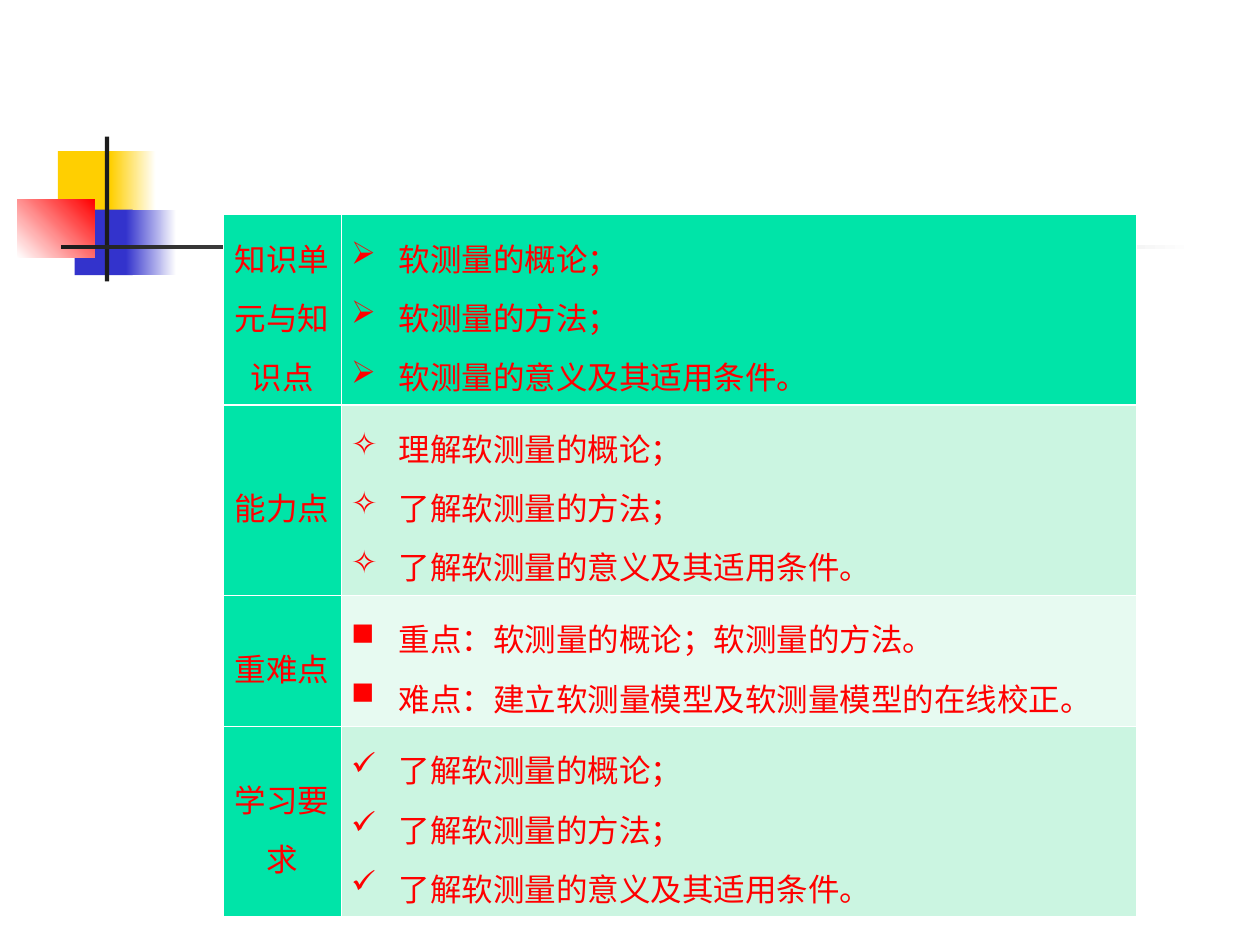
from lxml import etree
from pptx import Presentation
from pptx.dml.color import RGBColor
from pptx.enum.shapes import MSO_SHAPE
from pptx.enum.text import MSO_ANCHOR, PP_ALIGN
from pptx.oxml.ns import qn
from pptx.util import Pt

RECTANGLE = MSO_SHAPE.RECTANGLE
MIDDLE = MSO_ANCHOR.MIDDLE
CENTER = PP_ALIGN.CENTER

WHITE = RGBColor(0xFF, 0xFF, 0xFF)
YELLOW = RGBColor(0xFF, 0xCF, 0x01)
BLUE = RGBColor(0x33, 0x33, 0xCC)
RED = RGBColor(0xFF, 0x00, 0x00)
BLACK = RGBColor(0x1C, 0x1C, 0x1C)
GREEN = RGBColor(0x00, 0xE4, 0xA8)
MINT = RGBColor(0xCB, 0xF5, 0xE1)
PALE_MINT = RGBColor(0xE7, 0xFA, 0xF1)

FONT = "Roboto"
HANGING = Pt(27.36)
THIN, THICK = Pt(0.45), Pt(1.47)


def add_solid(parent, color):
    fill = etree.SubElement(parent, qn("a:solidFill"))
    etree.SubElement(fill, qn("a:srgbClr"), val=str(color))


def add_run(paragraph, text):
    paragraph.line_spacing = 1.3
    run = paragraph.add_run()
    run.text = text
    run.font.name = FONT
    run.font.size = Pt(18)
    run.font.bold = False
    run.font.color.rgb = RED


prs = Presentation()
prs.slide_width, prs.slide_height = Pt(720), Pt(540)
slide = prs.slides.add_slide(prs.slide_layouts[6])

# Corner ornament: left, top, width, height, start colour, end colour, angle
ornament = [
    (33.1, 86.4, 34.6, 37.4, YELLOW, None, 0),
    (63.2, 86.4, 25.9, 37.4, YELLOW, WHITE, 0),
    (42.7, 119.8, 33.1, 37.4, BLUE, None, 0),
    (72, 119.8, 28.8, 37.4, BLUE, WHITE, 0),
    (9.9, 113.8, 44.1, 33.4, WHITE, RED, 45),
    (59.9, 78, 2.5, 82.8, BLACK, None, 0),
    (34.6, 140.1, 648, 2.5, BLACK, WHITE, 0),
]
for left, top, width, height, start, end, angle in ornament:
    block = slide.shapes.add_shape(
        RECTANGLE, Pt(left), Pt(top), Pt(width), Pt(height))
    block.shadow.inherit = False
    block.line.fill.background()
    if end is None:
        block.fill.solid()
        block.fill.fore_color.rgb = start
    else:
        block.fill.gradient()
        block.fill.gradient_angle = angle
        for stop, color in zip(block.fill.gradient_stops, (start, end)):
            stop.color.rgb = color

# Row height, heading, bullet, points, fill of the points
units = [
    (94.3, "知识单元与知识点", "➢",
     ["软测量的概论；", "软测量的方法；", "软测量的意义及其适用条件。"], GREEN),
    (94.3, "能力点", "✧",
     ["理解软测量的概论；", "了解软测量的方法；", "了解软测量的意义及其适用条件。"], MINT),
    (62, "重难点", "■",
     ["重点：软测量的概论；软测量的方法。",
      "难点：建立软测量模型及软测量模型的在线校正。"], PALE_MINT),
    (95, "学习要求", "✓",
     ["了解软测量的概论；", "了解软测量的方法；", "了解软测量的意义及其适用条件。"], MINT),
]
table = slide.shapes.add_table(
    len(units), 2, Pt(127.6), Pt(122.6), Pt(521.6), Pt(345.6)).table
table.first_row = table.horz_banding = False
table.columns[0].width, table.columns[1].width = Pt(67.3), Pt(454.3)

for row, (height, heading, bullet, points, points_fill) in enumerate(units):
    table.rows[row].height = Pt(height)
    heading_cell, points_cell = table.cell(row, 0), table.cell(row, 1)

    for cell, color in ((heading_cell, GREEN), (points_cell, points_fill)):
        cell.vertical_anchor = MIDDLE
        cell.margin_left = cell.margin_right = Pt(5.76)
        cell.margin_top = cell.margin_bottom = Pt(3.6)
        borders = {"a:lnL": THIN, "a:lnR": THIN,
                   "a:lnT": THICK if row == 1 else THIN,
                   "a:lnB": THICK if row == 0 else THIN}
        for side, weight in borders.items():
            border = etree.SubElement(
                cell._tc.get_or_add_tcPr(), qn(side), w=str(weight))
            add_solid(border, WHITE)
        cell.fill.solid()
        cell.fill.fore_color.rgb = color

    title = heading_cell.text_frame.paragraphs[0]
    title.alignment = CENTER
    add_run(title, heading)

    frame = points_cell.text_frame
    for index, point in enumerate(points):
        item = frame.add_paragraph() if index else frame.paragraphs[0]
        properties = item._p.get_or_add_pPr()
        properties.set("marL", str(HANGING))
        properties.set("indent", str(-HANGING))
        bullet_color = etree.SubElement(properties, qn("a:buClr"))
        etree.SubElement(bullet_color, qn("a:srgbClr"), val=str(RED))
        etree.SubElement(properties, qn("a:buChar"), char=bullet)
        add_run(item, point)

prs.save("out.pptx")
